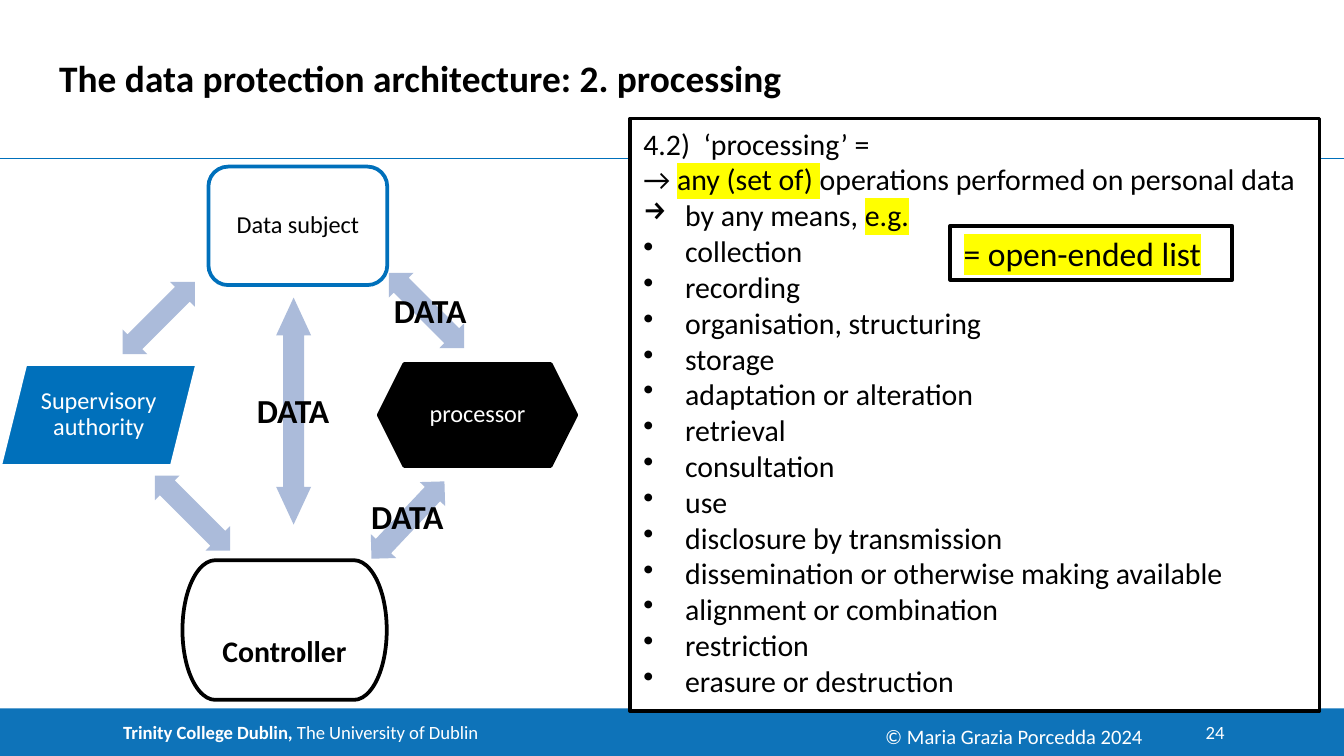
import lxml.etree
import pptx
import pptx.dml.color
import pptx.enum.shapes
import pptx.enum.text
import pptx.oxml.ns
import pptx.util

Cm = pptx.util.Cm
SHAPES = pptx.enum.shapes.MSO_SHAPE
ALIGN = pptx.enum.text.PP_ALIGN
ANCHOR = pptx.enum.text.MSO_ANCHOR
qn = pptx.oxml.ns.qn

COLOURS = {
    "white": "FFFFFF",
    "black": "000000",
    "blue": "0070BB",
    "footer": "0E73B9",
    "arrow": "ABBBDA",
    "highlight": "FFFF00",
}
TEXT_INSETS = (0.25, 0.13, 0.25, 0.13)
NODE_INSETS = (0.2, 0.2, 0.2, 0.2)
NO_INSETS = (0, 0, 0, 0)
ARROW_THICKNESS = 0.66


def rgb(name):
    return pptx.dml.color.RGBColor.from_string(COLOURS[name])


def add_box(slide, kind, box, fill=None, line=None):
    shape = slide.shapes.add_shape(kind, *(Cm(length) for length in box))
    shape.shadow.inherit = False
    if fill:
        shape.fill.solid()
        shape.fill.fore_color.rgb = rgb(fill)
    else:
        shape.fill.background()
    if line:
        shape.line.color.rgb = rgb(line)
        shape.line.width = pptx.util.Pt(2)
    else:
        shape.line.fill.background()
    return shape


def add_text_box(slide, box):
    return slide.shapes.add_textbox(*(Cm(length) for length in box))


def set_frame(shape, insets=TEXT_INSETS, anchor=ANCHOR.TOP):
    frame = shape.text_frame
    frame.word_wrap = True
    frame.vertical_anchor = anchor
    frame.margin_left, frame.margin_top, frame.margin_right, frame.margin_bottom = map(Cm, insets)
    return frame


def add_run(paragraph, text, size, colour="black", bold=False, highlighted=False):
    run = paragraph.add_run()
    run.text = text
    run.font.name = "Calibri"
    run.font.size = pptx.util.Pt(size)
    run.font.bold = bold
    run.font.color.rgb = rgb(colour)
    if highlighted:
        highlight = lxml.etree.Element(qn("a:highlight"))
        lxml.etree.SubElement(highlight, qn("a:srgbClr"), val=COLOURS["highlight"])
        run._r.get_or_add_rPr().find(qn("a:solidFill")).addnext(highlight)


def write_line(shape, text, size, colour="black", bold=False, align=ALIGN.LEFT,
               insets=TEXT_INSETS, anchor=ANCHOR.TOP, highlighted=False):
    paragraph = set_frame(shape, insets, anchor).paragraphs[0]
    paragraph.alignment = align
    add_run(paragraph, text, size, colour, bold, highlighted)
    return paragraph


def set_indent(paragraph, left, first=0):
    properties = paragraph._p.get_or_add_pPr()
    properties.set("marL", str(Cm(left)))
    properties.set("indent", str(Cm(first)))
    return properties


def add_footer(slide, box):
    left, top, width, height = box
    band = add_box(slide, SHAPES.RECTANGLE, box, "footer")
    paragraph = write_line(band, "Trinity College Dublin, ", 10, "white", True,
                           insets=(0.3, 0, 0, 0), anchor=ANCHOR.MIDDLE)
    set_indent(paragraph, 2.03)
    add_run(paragraph, "The University of Dublin", 10, "white")
    number = add_text_box(slide, (left + 22.1, top + 0.23, 1.04, 0.43))
    write_line(number, "24", 10, "white", align=ALIGN.RIGHT, insets=NO_INSETS)


def add_copyright(slide, box):
    write_line(add_text_box(slide, box), "© Maria Grazia Porcedda 2024", 11, "white")


def add_header(slide, box):
    left, top, width, height = box
    rule = slide.shapes.add_connector(pptx.enum.shapes.MSO_CONNECTOR.STRAIGHT, Cm(left),
                                      Cm(top + height), Cm(left + width), Cm(top + height))
    rule.line.color.rgb = rgb("blue")
    rule.line.width = pptx.util.Pt(0.75)
    lxml.etree.SubElement(rule._element.spPr, qn("a:effectLst"))
    title = add_text_box(slide, (left + 1.12, top + 1.04, 22.4, 1.73))
    write_line(title, "The data protection architecture: 2. processing", 20, bold=True,
               insets=NO_INSETS)


def add_architecture(slide, box):
    left, top = box[:2]
    arrows = [
        (7.71, 6.68, 2.01, 133.3, 0.5),
        (3.64, 6.55, 2.01, 45, 0.5),
        (3, 2.86, 1.93, 315, 0.5),
        (5.55, 4.62, 4.29, 270, 1.08),
        (8.06, 2.72, 2.01, 45, 0.5),
    ]
    for centre_x, centre_y, length, rotation, head in arrows:
        arrow = add_box(slide, SHAPES.LEFT_RIGHT_ARROW,
                        (left + centre_x - length / 2, top + centre_y - ARROW_THICKNESS / 2,
                         length, ARROW_THICKNESS), "arrow")
        arrow.adjustments[0] = 0.6
        arrow.adjustments[1] = head
        arrow.rotation = rotation

    nodes = [
        (SHAPES.ROUNDED_RECTANGLE, (3.94, 0, 3.38, 2.24), "white", "blue", "Data subject", "black"),
        (SHAPES.HEXAGON, (7.16, 3.73, 3.73, 1.93), "black", "black", "processor", "white"),
        (SHAPES.PARALLELOGRAM, (0, 3.73, 3.73, 1.93), "blue", "white", "Supervisory authority", "white"),
    ]
    for kind, (x, y, width, height), fill, line, text, colour in nodes:
        node = add_box(slide, kind, (left + x, top + y, width, height), fill, line)
        paragraph = write_line(node, text, 13, colour, align=ALIGN.CENTER,
                               insets=NODE_INSETS, anchor=ANCHOR.MIDDLE)
        paragraph.line_spacing = 0.9

    controller = add_box(slide, SHAPES.FLOWCHART_TERMINATOR,
                         (left + 3.45, top + 7.44, 3.86, 2.64), line="black")
    paragraph = write_line(controller, "Controller", 16, bold=True, align=ALIGN.CENTER,
                           insets=(0.2, 1.07, 0.2, 0.2))
    paragraph.line_spacing = 0.9

    for x, y in [(6.2, 6.1), (4.04, 4.09), (6.63, 2.21)]:
        label = add_text_box(slide, (left + x, top + y, 3, 1.02))
        write_line(label, "DATA", 18, bold=True, align=ALIGN.CENTER)


def add_definition(slide, box):
    left, top = box[:2]
    operations = [
        "collection", "recording", "organisation, structuring", "storage",
        "adaptation or alteration", "retrieval", "consultation", "use",
        "disclosure by transmission", "dissemination or otherwise making available",
        "alignment or combination", "restriction", "erasure or destruction",
    ]
    lines = [
        (None, [("4.2)  ‘processing’ =", False)]),
        (None, [("→ ", False), ("any (set of) ", True),
                ("operations performed on personal data", False)]),
        ("→", [("by any means, ", False), ("e.g.", True)]),
    ] + [("•", [(operation, False)]) for operation in operations]

    frame = set_frame(add_box(slide, SHAPES.RECTANGLE, box, "white", "black"))
    for index, (bullet, runs) in enumerate(lines):
        paragraph = frame.add_paragraph() if index else frame.paragraphs[0]
        paragraph.alignment = ALIGN.LEFT
        if bullet:
            properties = set_indent(paragraph, 0.79, -0.79)
            lxml.etree.SubElement(properties, qn("a:buChar"), char=bullet)
        for text, highlighted in runs:
            add_run(paragraph, text, 16, highlighted=highlighted)

    callout = add_box(slide, SHAPES.RECTANGLE, (left + 6.05, top + 2.03, 5.33, 1.02),
                      "white", "black")
    write_line(callout, "= open-ended list", 18, highlighted=True)


def main():
    presentation = pptx.Presentation()
    presentation.slide_width = Cm(25.4)
    presentation.slide_height = Cm(14.29)
    slide = presentation.slides.add_slide(presentation.slide_layouts[6])
    add_footer(slide, (0, 13.39, 25.4, 0.9))
    add_header(slide, (0, 0, 25.4, 3))
    add_architecture(slide, (0, 3.15, 10.9, 10.08))
    add_definition(slide, (11.91, 2.24, 13.03, 11.2))
    add_copyright(slide, (16.48, 13.56, 8.81, 0.73))
    presentation.save("out.pptx")


if __name__ == "__main__":
    main()
